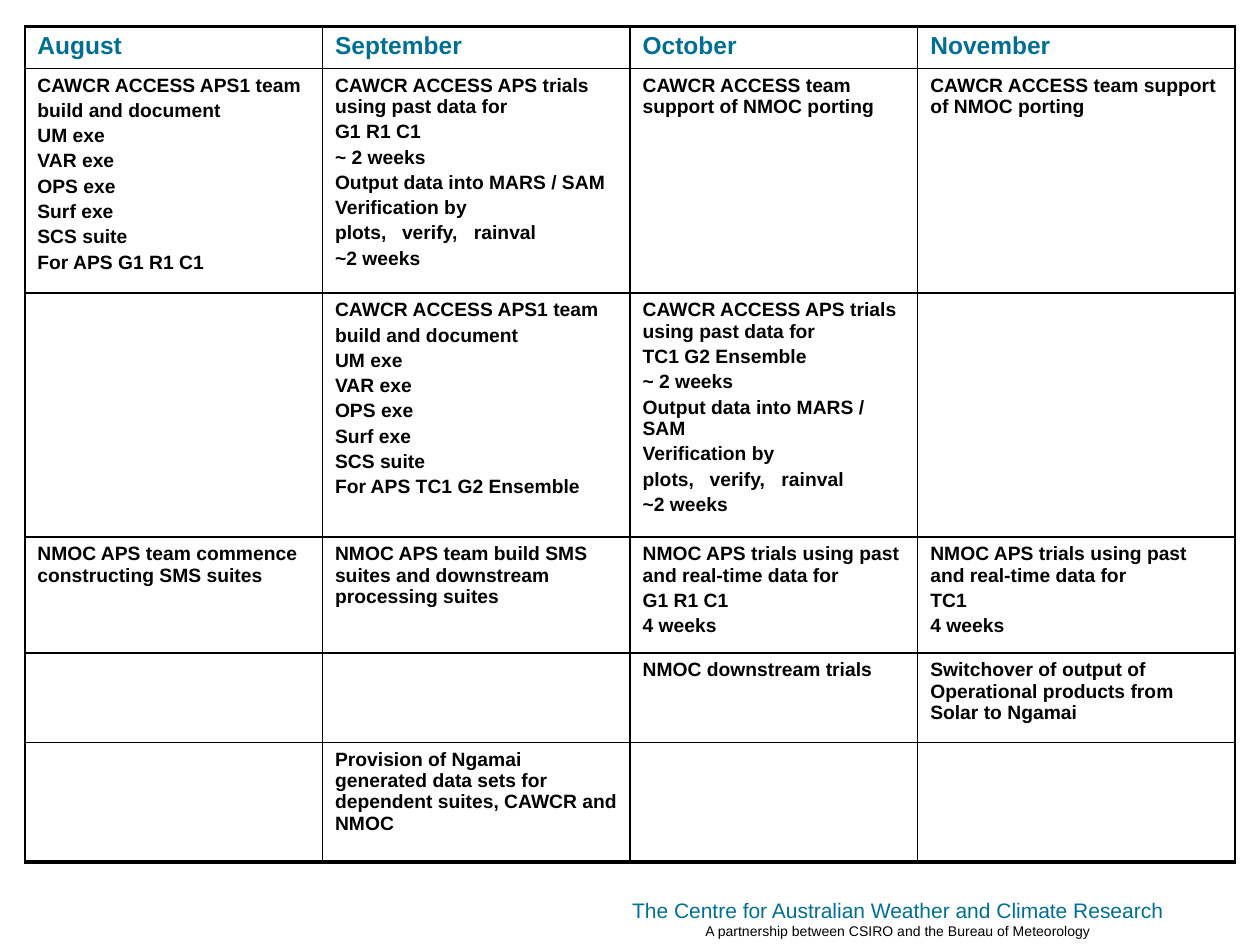
from lxml.etree import SubElement
from pptx import Presentation
from pptx.dml.color import RGBColor
from pptx.enum.text import MSO_ANCHOR, PP_ALIGN
from pptx.oxml.ns import qn
from pptx.util import Cm, Pt

COLORS = {"teal": "006F93", "ink": "000000"}
HEADING = {"size": Pt(14), "bold": True, "color": "teal"}
ACTIVITY = {"size": Pt(11), "bold": True, "color": "ink"}
CENTRE = {"size": Pt(12), "bold": False, "color": "teal"}
PARTNERS = {"size": Pt(8), "bold": False, "color": "ink"}

COLUMN_WIDTHS = [6, 6.2, 5.8, 6.4]
ROW_HEIGHTS = [0.84, 4.52, 4.88, 2.34, 1.8, 2.41]
TOOL_STOPS = [1.35, 2.8]
THIN, THICK = Pt(1), Pt(2.25)


def build_steps(target):
    return ["CAWCR ACCESS APS1 team", "build and document", "UM exe", "VAR exe",
            "OPS exe", "Surf exe", "SCS suite", f"For APS {target}"]


def trial_steps(target):
    return ["CAWCR ACCESS APS trials using past data for", target, "~ 2 weeks",
            "Output data into MARS / SAM", "Verification by",
            "plots,\tverify,\trainval", "~2 weeks"]


def nmoc_trials(target):
    return ["NMOC APS trials using past and real-time data for", target, "4 weeks"]


PORTING = ["CAWCR ACCESS team support of NMOC porting"]
SCHEDULE = [
    [["August"], ["September"], ["October"], ["November"]],
    [build_steps("G1 R1 C1"), trial_steps("G1 R1 C1"), PORTING, PORTING],
    [[], build_steps("TC1 G2 Ensemble"), trial_steps("TC1 G2 Ensemble"), []],
    [["NMOC APS team commence constructing SMS suites"],
     ["NMOC APS team build SMS suites and downstream processing suites"],
     nmoc_trials("G1 R1 C1"), nmoc_trials("TC1")],
    [[], [], ["NMOC downstream trials"],
     ["Switchover of output of Operational products from Solar to Ngamai"]],
    [[], ["Provision of Ngamai generated data sets for dependent suites, "
          "CAWCR and NMOC"], [], []],
]


def add_styled_run(paragraph, text, style):
    run = paragraph.add_run()
    run.text = text
    run.font.name = "Arial"
    for attribute in ("size", "bold"):
        setattr(run.font, attribute, style[attribute])
    run.font.color.rgb = RGBColor.from_string(COLORS[style["color"]])


def set_tab_stops(paragraph, stops):
    tabs = SubElement(paragraph._p.get_or_add_pPr(), qn("a:tabLst"))
    for stop in stops:
        SubElement(tabs, qn("a:tab"), pos=str(int(Cm(stop))), algn="l")


def set_borders(cell, widths):
    properties = cell._tc.get_or_add_tcPr()
    for side, width in widths.items():
        line = SubElement(properties, qn(f"a:ln{side}"), w=str(int(width)))
        fill = SubElement(line, qn("a:solidFill"))
        SubElement(fill, qn("a:srgbClr"), val=COLORS["ink"])


def fill_cell(cell, lines, style):
    frame = cell.text_frame
    for index, text in enumerate(lines):
        paragraph = frame.add_paragraph() if index else frame.paragraphs[0]
        paragraph.space_before = Pt(style["size"].pt * 0.2)
        if "\t" in text:
            set_tab_stops(paragraph, TOOL_STOPS)
        add_styled_run(paragraph, text, style)


def add_schedule(slide, left, top):
    last = len(SCHEDULE) - 1
    table = slide.shapes.add_table(
        len(ROW_HEIGHTS), len(COLUMN_WIDTHS), Cm(left), Cm(top),
        Cm(sum(COLUMN_WIDTHS)), Cm(sum(ROW_HEIGHTS))).table
    table.first_row = table.horz_banding = False
    for column, width in zip(table.columns, COLUMN_WIDTHS):
        column.width = Cm(width)
    for row, height in zip(table.rows, ROW_HEIGHTS):
        row.height = Cm(height)
    for r, activities in enumerate(SCHEDULE):
        for c, lines in enumerate(activities):
            cell = table.cell(r, c)
            set_borders(cell, {"L": THIN, "R": THIN,
                               "T": THICK if r == 0 else THIN,
                               "B": THICK if r == last else THIN})
            cell.fill.background()
            fill_cell(cell, lines, ACTIVITY if r else HEADING)


def add_footer(slide, left, top, width, height):
    box = slide.shapes.add_textbox(Cm(left), Cm(top), Cm(width), Cm(height))
    frame = box.text_frame
    for attribute, value in {"word_wrap": True, "margin_top": 0, "margin_bottom": 0,
                             "vertical_anchor": MSO_ANCHOR.MIDDLE}.items():
        setattr(frame, attribute, value)
    credit = frame.paragraphs[0]
    credit.alignment = PP_ALIGN.CENTER
    add_styled_run(credit, "The Centre for Australian Weather and Climate Research", CENTRE)
    credit.add_line_break()
    add_styled_run(credit, "A partnership between CSIRO and the Bureau of Meteorology",
                   PARTNERS)


def main():
    deck = Presentation()
    deck.slide_width, deck.slide_height = Cm(25.4), Cm(19.05)
    slide = deck.slides.add_slide(deck.slide_layouts[6])
    add_footer(slide, 11.4, 18.01, 13.41, 1.02)
    add_schedule(slide, 0.5, 0.53)
    deck.save("out.pptx")


if __name__ == "__main__":
    main()
